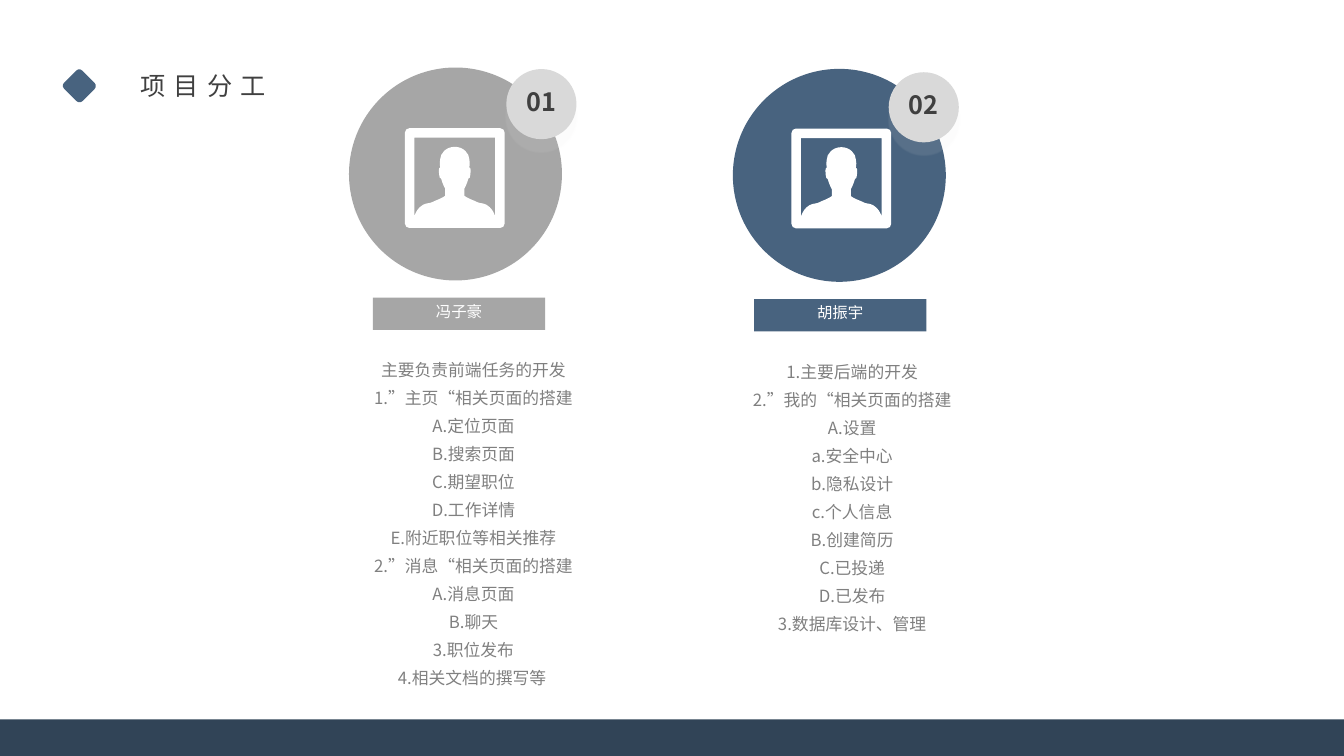
"""Build the project roles slide: two team members, each with a badge, a name bar and a task list."""
from lxml.etree import SubElement as Sub
from pptx import Presentation
from pptx.dml.color import RGBColor
from pptx.enum.shapes import MSO_SHAPE as SHP
from pptx.enum.text import MSO_ANCHOR as ANCHOR, MSO_AUTO_SIZE as FIT, PP_ALIGN as ALIGN
from pptx.oxml.ns import qn
from pptx.util import Emu, Inches, Pt

FONT = "Noto Sans CJK SC"
rgb = RGBColor.from_string
prs = Presentation()
prs.slide_width, prs.slide_height = Emu(160 * 76200), Inches(7.5)
cell = prs.slide_width / 160
s = prs.slides.add_slide(prs.slide_layouts[6])


def draw(shapes, kind, box, fill):
    sp = shapes.add_shape(kind, *[Emu(round(v * cell)) for v in box])
    sp.shadow.inherit = False
    sp.fill.solid()
    sp.fill.fore_color.rgb = rgb(fill)
    sp.line.fill.background()
    return sp


def write(p, text, size, color, align=ALIGN.CENTER):
    p.alignment = align
    r = p.add_run()
    r.text = text
    r.font.size = Pt(size)
    r.font.name = FONT
    r.font.color.rgb = rgb(color)
    Sub(r.font._element, qn("a:ea"), typeface=FONT)
    return r


SIZE = 990
side = [(945, 990), (45, 990), (45, 990), (45, 990), (20, 990), (0, 970)]
frame = []
for turn in range(4):
    frame += side
    side = [(SIZE - y, x) for x, y in side]
frame.append(frame[0])

half = [
    (95, 95), (95, 870), (95, 870), (95, 870),
    (110, 830), (130, 790), (180, 760),
    (250, 730), (220, 760), (300, 720),
    (380, 690), (400, 670), (400, 670),
    (400, 600), (400, 600), (400, 600),
    (400, 600), (380, 570), (360, 500),
    (350, 510), (340, 480), (340, 460),
    (340, 440), (330, 390), (350, 390),
    (350, 360), (340, 330), (350, 310),
    (350, 250), (410, 185), (495, 185),
]
opening = half + [(SIZE - x, y) for x, y in half[-2::-1]]

people = [
    dict(name="胡振宇", number="02", color="48637F", circle=(87.25, 8.2),
         badge=(105.8, 8.6), bar=(89.78, 35.6), icon=(94.22, 15.3),
         box=(82.9, 41.5, 37.1, 34.8),
         tasks=["1.主要后端的开发", "2.”我的“相关页面的搭建", "A.设置", "a.安全中心", "b.隐私设计",
                "c.个人信息", "B.创建简历", "C.已投递", "D.已发布", "3.数据库设计、管理"]),
    dict(name="冯子豪", number="01", color="A6A6A6", circle=(41.55, 8.04),
         badge=(60.28, 8.22), bar=(44.4, 35.44), icon=(48.2, 15.26),
         box=(35.62, 41.3, 41.5, 41.6),
         tasks=["主要负责前端任务的开发", "1.”主页“相关页面的搭建", "A.定位页面", "B.搜索页面",
                "C.期望职位", "D.工作详情", "E.附近职位等相关推荐", "2.”消息“相关页面的搭建",
                "A.消息页面", "B.聊天", "3.职位发布", "4.相关文档的撰写等\t"]),
]
for person in people:
    group = s.shapes.add_group_shape().shapes
    draw(group, SHP.OVAL, (*person["circle"], 25.35, 25.35), person["color"])

    badge = draw(group, SHP.OVAL, (*person["badge"], 8.35, 8.35), "D9D9D9")
    effects = badge._element.spPr.find(qn("a:effectLst"))
    shadow = Sub(effects, qn("a:outerShdw"), blurRad=str(Pt(1)), dist=str(Pt(9)),
                 dir="5400000", algn="t", rotWithShape="0")
    tint = Sub(shadow, qn("a:srgbClr"), val="E7E6E6")
    Sub(tint, qn("a:alpha"), val="9000")
    tf = badge.text_frame
    tf.vertical_anchor = ANCHOR.MIDDLE
    tf.margin_left = tf.margin_right = tf.margin_top = 0
    tf.margin_bottom = Inches(0.05)
    write(tf.paragraphs[0], person["number"], 18, "404040").font.bold = True

    bar = draw(group, SHP.RECTANGLE, (*person["bar"], 20.5, 3.85), person["color"])
    tf = bar.text_frame
    tf.vertical_anchor = ANCHOR.MIDDLE
    tf.margin_left = tf.margin_right = Inches(0.13)
    tf.margin_top, tf.margin_bottom = Inches(0.07), Inches(0.12)
    write(tf.paragraphs[0], person["name"], 11, "FFFFFF")

    fb = group.build_freeform(0, 0, scale=cell * 0.012)
    fb.add_line_segments([(SIZE, 0), (SIZE, SIZE), (0, SIZE)], close=True)
    icon = fb.convert_to_shape(*[Emu(round(v * cell)) for v in person["icon"]])
    icon.shadow.inherit = False
    icon.fill.solid()
    icon.fill.fore_color.rgb = rgb("FFFFFF")
    icon.line.fill.background()
    outline = icon._element.find(".//" + qn("a:path"))
    for segment in list(outline):
        outline.remove(segment)
    for contour in (frame, opening):
        for i, (x, y) in enumerate(contour):
            if i == 0:
                segment = Sub(outline, qn("a:moveTo"))
            elif i % 3 == 1:
                segment = Sub(outline, qn("a:cubicBezTo"))
            Sub(segment, qn("a:pt"), x=str(x), y=str(y))
    Sub(outline, qn("a:close"))

for person in reversed(people):
    tf = s.shapes.add_textbox(*[Emu(round(v * cell)) for v in person["box"]]).text_frame
    tf.word_wrap = True
    tf.auto_size = FIT.SHAPE_TO_FIT_TEXT
    for i, task in enumerate(person["tasks"]):
        p = tf.add_paragraph() if i else tf.paragraphs[0]
        p.line_spacing = Pt(20)
        write(p, task, 12, "808080")

heading = s.shapes.add_group_shape().shapes
draw(heading, SHP.ROUNDED_RECTANGLE, (7.9, 8.7, 3.1, 3.05), "48637F").rotation = 45
title = heading.add_textbox(*[Emu(round(v * cell)) for v in (15.5, 7.8, 18.4, 4.8)])
tf = title.text_frame
tf.word_wrap = False
tf.auto_size = FIT.SHAPE_TO_FIT_TEXT
r = write(tf.paragraphs[0], "项目分工", 18, "404040", ALIGN.LEFT)
r.font._element.set("spc", "600")
draw(heading, SHP.RECTANGLE, (0, 85.65, 160, 4.35), "314457")

prs.save("out.pptx")
